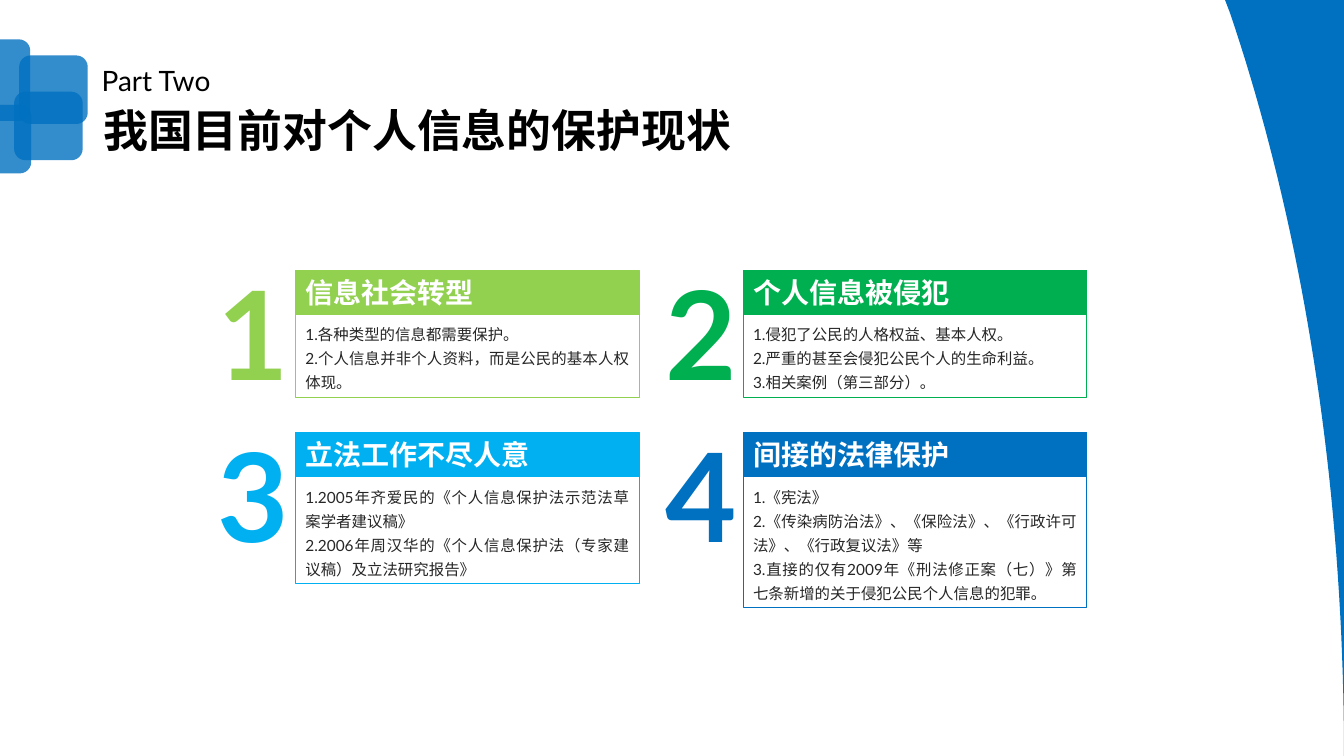
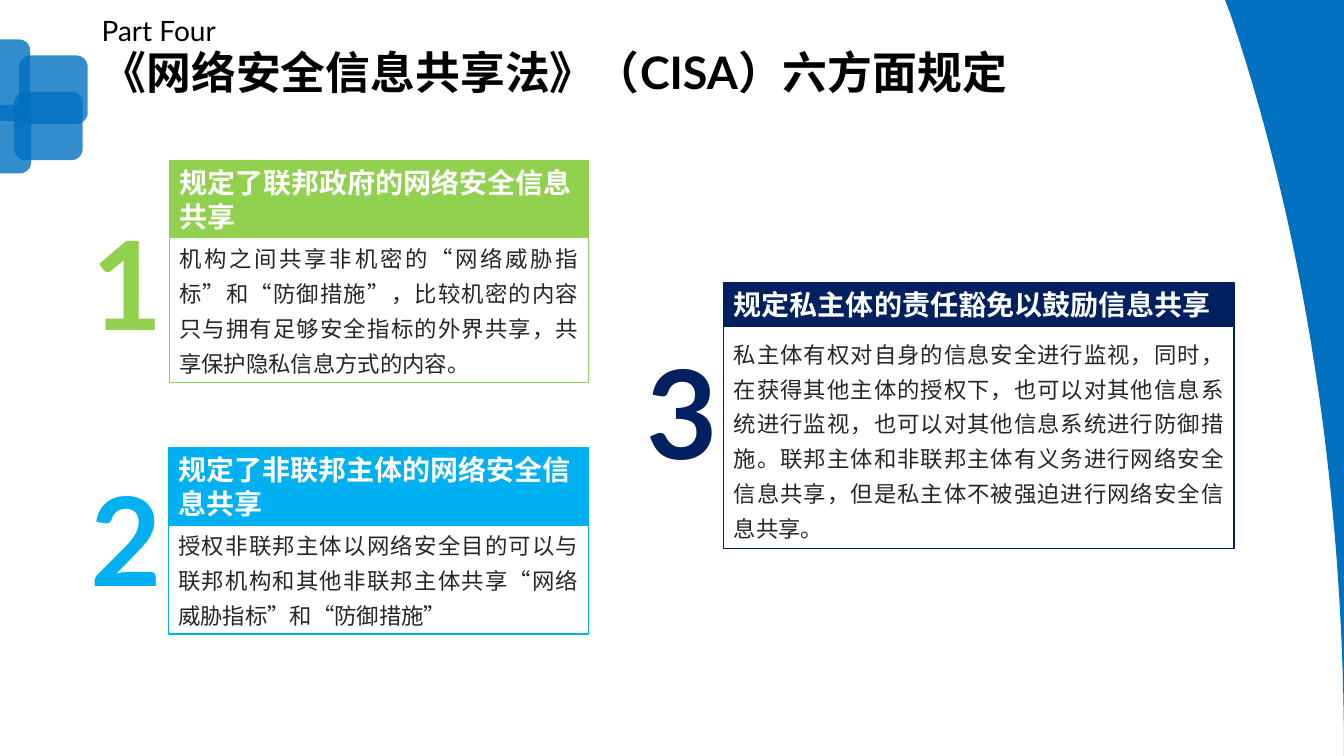
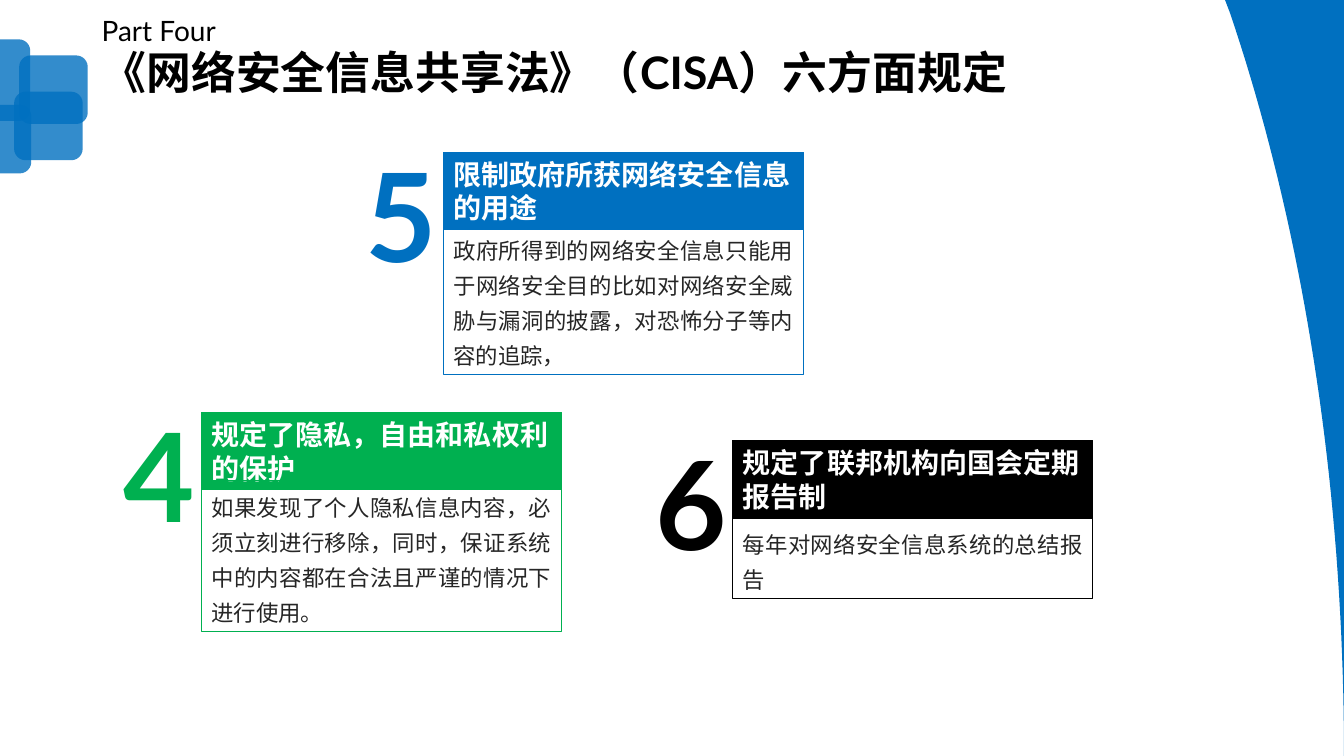
from dataclasses import dataclass

from lxml import etree
from pptx import Presentation
from pptx import util as u
from pptx.dml import color
from pptx.enum import lang, shapes, text
from pptx.oxml import ns

FONT = "Lato"
BLUE, SKY, GREEN, LIME, NAVY = "0070C0", "00B0F0", "00B050", "92D050", "002060"
BLACK, WHITE, BODY_TEXT = "000000", "FFFFFF", "262626"
SLIDE_WIDTH, SLIDE_HEIGHT = 13.33, 7.5

CORNER_TILES = [(-0.38, 0.39, 0.68, 0.81), (0.19, 0.55, 0.68, 0.68),
                (0.14, 0.91, 0.68, 0.68), (-0.37, 1.04, 0.68, 0.68)]
BAND_TOP_LEFT = (12.15, 0)
BAND_CURVE = [(13.33, 7.5), (13.33, 4.77), (12.91, 2.23), (12.2, 0.13)]
CURVE_STEPS = 40

HEADER_HEIGHTS = {1: 0.44, 2: 0.77}
NUMERAL_OFFSET, NUMERAL_SIZE = 0.87, (0.91, 1.58)
GRID_LEFT, GRID_TOP, GRID_COLUMN, GRID_ROW, GRID_WIDTH = 2.93, 2.68, 4.44, 1.61, 3.41


@dataclass
class Card:
    """A numeral beside a header bar and a body; drops are measured from the card's top."""
    number: int
    colour: str
    title: str
    lines: list
    left: float
    top: float
    width: float
    body_drop: float
    body_height: float
    header_lines: int = 2
    numeral_drop: float = -0.18
    body_size: int = 16


STATUS_TOPICS = [
    (LIME, "信息社会转型", 0.82,
     ["1.各种类型的信息都需要保护。", "2.个人信息并非个人资料，而是公民的基本人权体现。"]),
    (GREEN, "个人信息被侵犯", 0.82,
     ["1.侵犯了公民的人格权益、基本人权。", "2.严重的甚至会侵犯公民个人的生命利益。",
      "3.相关案例（第三部分）。"]),
    (SKY, "立法工作不尽人意", 1.06,
     ["1.2005年齐爱民的《个人信息保护法示范法草案学者建议稿》",
      "2.2006年周汉华的《个人信息保护法（专家建议稿）及立法研究报告》"]),
    (BLUE, "间接的法律保护", 1.3,
     ["1.《宪法》", "2.《传染病防治法》、《保险法》、《行政许可法》、《行政复议法》等",
      "3.直接的仅有2009年《刑法修正案（七）》第七条新增的关于侵犯公民个人信息的犯罪。"]),
]
STATUS_CARDS = [
    Card(index + 1, colour, title, lines, GRID_LEFT + index % 2 * GRID_COLUMN,
         GRID_TOP + index // 2 * GRID_ROW, GRID_WIDTH, 0.44, height,
         header_lines=1, body_size=11)
    for index, (colour, title, height, lines) in enumerate(STATUS_TOPICS)
]
SHARING_CARDS = [
    Card(1, LIME, "规定了联邦政府的网络安全信息共享",
         ["机构之间共享非机密的“网络威胁指标”和“防御措施”，比较机密的内容只与拥有足够安全指标的外界共享，"
          "共享保护隐私信息方式的内容。"], 1.68, 1.59, 4.16, 0.71, 1.5, numeral_drop=0.42),
    Card(2, SKY, "规定了非联邦主体的网络安全信息共享",
         ["授权非联邦主体以网络安全目的可以与联邦机构和其他非联邦主体共享“网络威胁指标”和“防御措施”"],
         1.67, 4.44, 4.17, 0.7, 1.15, numeral_drop=0.11),
    Card(3, NAVY, "规定私主体的责任豁免以鼓励信息共享",
         ["私主体有权对自身的信息安全进行监视，同时，在获得其他主体的授权下，也可以对其他信息系统进行监视，"
          "也可以对其他信息系统进行防御措施。联邦主体和非联邦主体有义务进行网络安全信息共享，"
          "但是私主体不被强迫进行网络安全信息共享。"],
         7.18, 2.8, 5.06, 0.44, 2.2, header_lines=1, numeral_drop=0.49),
]
LIMIT_CARDS = [
    Card(4, GREEN, "规定了隐私，自由和私权利的保护",
         ["如果发现了个人隐私信息内容，必须立刻进行移除，同时，保证系统中的内容都在合法且严谨的情况下进行使用。"],
         2, 4.09, 3.57, 0.68, 1.5),
    Card(5, BLUE, "限制政府所获网络安全信息的用途",
         ["政府所得到的网络安全信息只能用于网络安全目的比如对网络安全威胁与漏洞的披露，对恐怖分子等内容的追踪，"],
         4.4, 1.51, 3.57, 0.71, 1.5),
    Card(6, BLACK, "规定了联邦机构向国会定期报告制",
         ["每年对网络安全信息系统的总结报告"], 7.27, 4.37, 3.57, 0.77, 0.8),
]
CISA_TITLE = "《网络安全信息共享法》（CISA）六方面规定"
# Part label, label top, title, title box, title alignment, cards
SLIDES = [
    ("Part Two", 0.62, "我国目前对个人信息的保护现状", (0.91, 1.03, 6.46, 0.64),
     text.PP_ALIGN.CENTER, STATUS_CARDS),
    ("Part Four", 0.12, CISA_TITLE, (0.91, 0.45, 12.11, 0.58), text.PP_ALIGN.LEFT, SHARING_CARDS),
    ("Part Four", 0.12, CISA_TITLE, (0.91, 0.45, 12.11, 0.58), text.PP_ALIGN.LEFT, LIMIT_CARDS),
]


def rgb(value):
    return color.RGBColor.from_string(value)


def inches(values):
    return [u.Inches(value) for value in values]


def paint(shape, fill=None, line=None, alpha=None):
    shape.shadow.inherit = False
    if fill:
        shape.fill.solid()
        shape.fill.fore_color.rgb = rgb(fill)
    else:
        shape.fill.background()
    if line:
        shape.line.color.rgb = rgb(line)
        shape.line.width = u.Pt(0.75)
    else:
        shape.line.fill.background()
    if alpha:
        fill_colour = shape.fill._xPr.find(".//" + ns.qn("a:srgbClr"))
        etree.SubElement(fill_colour, ns.qn("a:alpha"), val=str(alpha * 1000))


def write(shape, lines, size, colour, bold=False, align=text.PP_ALIGN.LEFT, spacing=1.0,
          anchor=text.MSO_ANCHOR.TOP, wrap=True):
    frame = shape.text_frame
    frame.word_wrap = wrap
    frame.vertical_anchor = anchor
    for index, line in enumerate(lines):
        paragraph = frame.add_paragraph() if index else frame.paragraphs[0]
        paragraph.alignment = align
        paragraph.line_spacing = spacing
        run = paragraph.add_run()
        run.text = line
        run.font.name = FONT
        run.font.size = u.Pt(size)
        run.font.bold = bold
        run.font.color.rgb = rgb(colour)
        run.font.language_id = lang.MSO_LANGUAGE_ID.SIMPLIFIED_CHINESE


def add_text(slide, box, lines, size, colour, **style):
    write(slide.shapes.add_textbox(*inches(box)), lines, size, colour, **style)


def add_panel(slide, box, lines, size, colour, fill, line, **style):
    panel = slide.shapes.add_shape(shapes.MSO_SHAPE.RECTANGLE, *inches(box))
    paint(panel, fill, line)
    write(panel, lines, size, colour, anchor=text.MSO_ANCHOR.MIDDLE, **style)


def bezier_point(points, t):
    """Return the point at t on a cubic curve."""
    weights = [(1 - t) ** 3, 3 * t * (1 - t) ** 2, 3 * t ** 2 * (1 - t), t ** 3]
    return tuple(sum(weight * point[axis] for weight, point in zip(weights, points))
                 for axis in (0, 1))


def add_decoration(slide):
    for box in CORNER_TILES:
        tile = slide.shapes.add_shape(shapes.MSO_SHAPE.ROUNDED_RECTANGLE, *inches(box))
        paint(tile, BLUE, alpha=80)
    curve = [bezier_point(BAND_CURVE, step / CURVE_STEPS) for step in range(CURVE_STEPS + 1)]
    builder = slide.shapes.build_freeform(*inches(BAND_TOP_LEFT), scale=1.0)
    builder.add_line_segments([inches(point) for point in [(SLIDE_WIDTH, 0)] + curve], close=True)
    paint(builder.convert_to_shape(), BLUE)


def add_card(slide, card):
    numeral_box = (card.left - NUMERAL_OFFSET, card.top + card.numeral_drop, *NUMERAL_SIZE)
    add_text(slide, numeral_box, [str(card.number)], 88, card.colour, bold=True, wrap=False)
    header_box = (card.left, card.top, card.width, HEADER_HEIGHTS[card.header_lines])
    add_panel(slide, header_box, [card.title], 20, WHITE, card.colour, card.colour, bold=True)
    body_box = (card.left, card.top + card.body_drop, card.width, card.body_height)
    add_panel(slide, body_box, card.lines, card.body_size, BODY_TEXT, None, card.colour,
              align=text.PP_ALIGN.JUSTIFY, spacing=1.3)


def main():
    presentation = Presentation()
    presentation.slide_width, presentation.slide_height = inches((SLIDE_WIDTH, SLIDE_HEIGHT))
    for part, part_top, title, title_box, title_align, cards in SLIDES:
        slide = presentation.slides.add_slide(presentation.slide_layouts[6])
        add_decoration(slide)
        add_text(slide, title_box, [title], 32, BLACK, bold=True, align=title_align, spacing=0.9)
        add_text(slide, (0.91, part_top, 3.25, 0.4), [part], 20, BLACK, spacing=0.9)
        for card in cards:
            add_card(slide, card)
    presentation.save("out.pptx")


if __name__ == "__main__":
    main()
